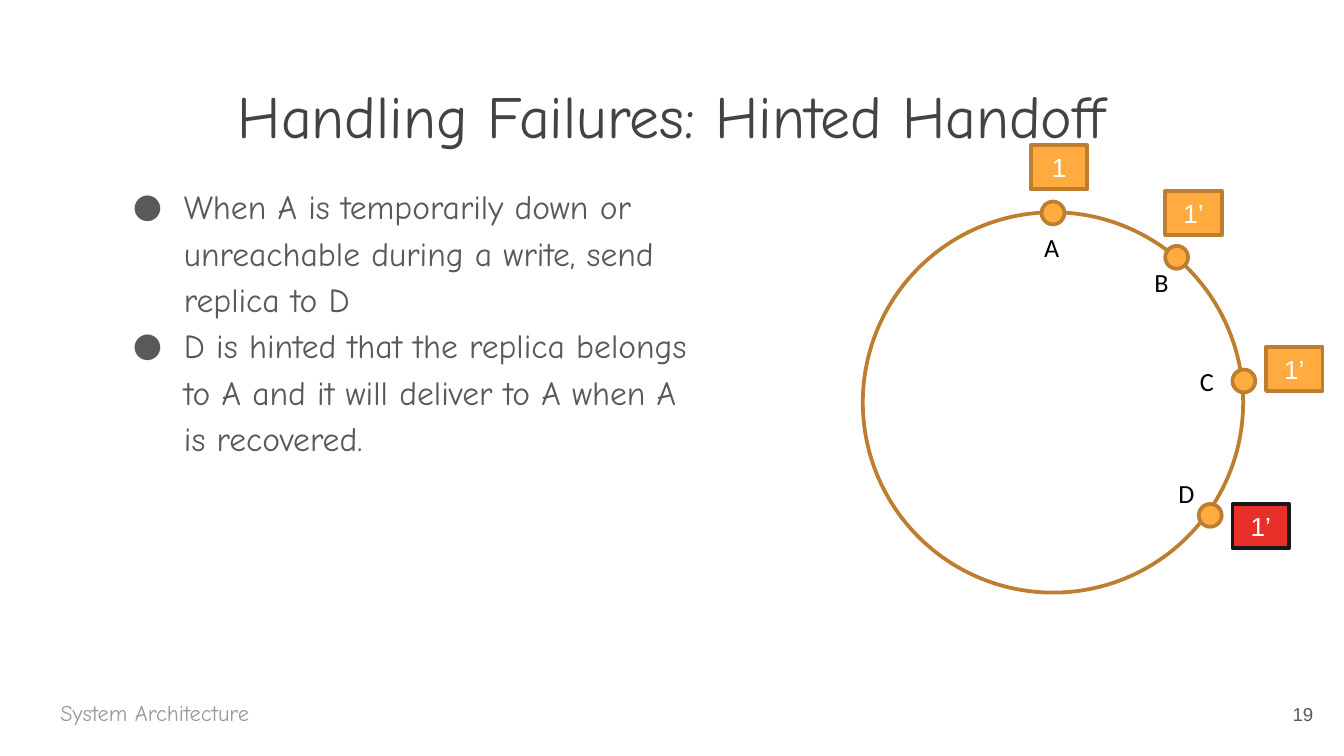
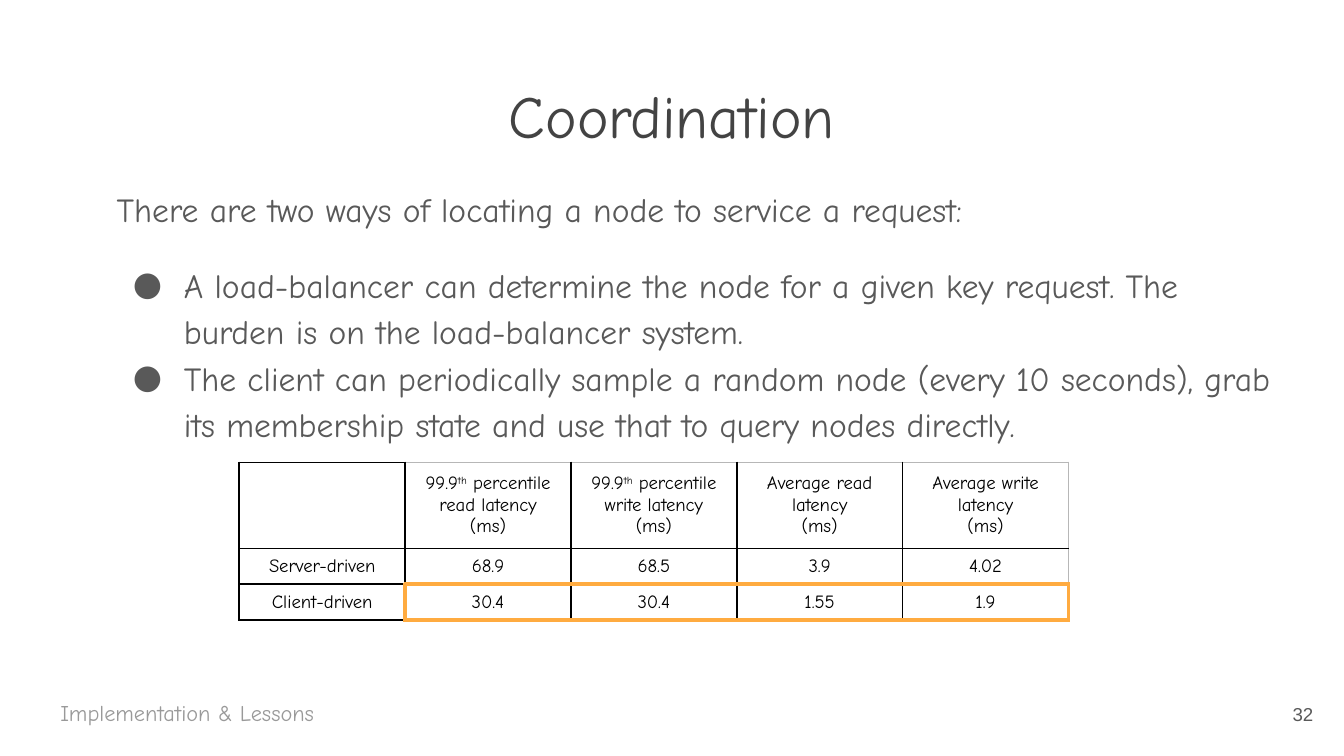
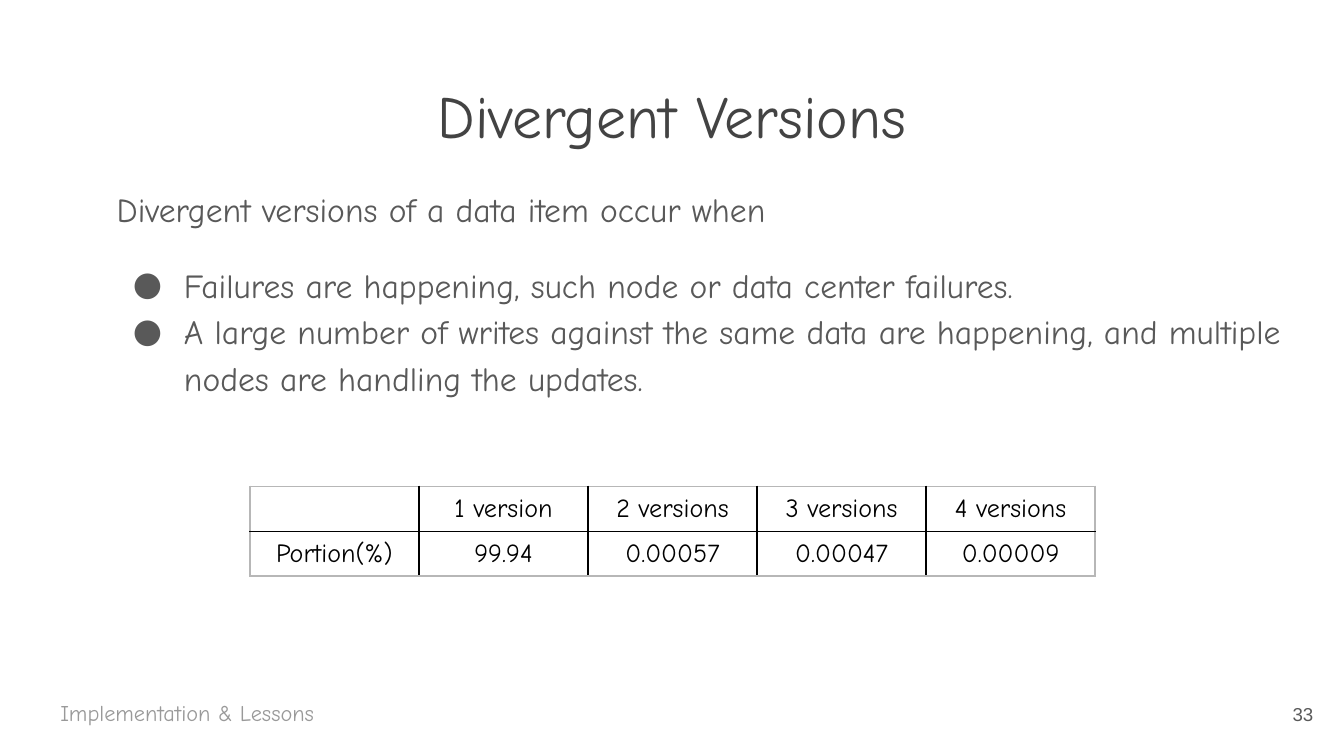
from dataclasses import dataclass

from lxml import etree
from pptx import Presentation
from pptx import util as u
from pptx.dml.color import RGBColor
from pptx.enum import shapes, text
from pptx.oxml import ns

Align, Anchor = text.PP_ALIGN, text.MSO_ANCHOR
Shape = shapes.MSO_SHAPE


@dataclass(frozen=True)
class Theme:
    face: str = "Comic Neue"
    plain_face: str = "Arial"
    label_face: str = "Calibri"
    heading: str = "434343"
    body: str = "595959"
    footer: str = "999999"
    black: str = "000000"
    white: str = "FFFFFF"
    frame: str = "B7B7B7"
    accent: str = "FFAB40"
    accent_line: str = "BD7F2F"
    alert: str = "E83029"
    alert_line: str = "181818"
    title_size: int = 32
    body_size: int = 18
    label_size: int = 14
    footer_size: int = 12
    number_size: int = 10
    outline: float = 2
    rule: float = 1
    strong_rule: float = 2.25


THEME = Theme()


def add_xml(parent, tag, **attributes):
    return etree.SubElement(parent, ns.qn(tag), attributes)


def add_bullet(para, color, face):
    props = para._p.get_or_add_pPr()
    props.set("marL", str(u.Inches(0.5)))
    props.set("indent", str(u.Inches(-0.38)))
    add_xml(add_xml(props, "a:buClr"), "a:srgbClr", val=color)
    add_xml(props, "a:buFont", typeface=face)
    add_xml(props, "a:buChar", char="●")


def write(para, words, size=THEME.body_size, color=THEME.body, face=THEME.face,
          align=Align.LEFT, bullet=False, spacing=None, before=None):
    """Fill a paragraph; a part between two ^ marks is superscript."""
    if bullet:
        add_bullet(para, color, face)
    para.alignment = align
    if spacing:
        para.line_spacing = spacing
    if before:
        para.space_before = u.Pt(before)
    if not words:
        add_xml(para._p, "a:endParaRPr", sz=str(size * 100))
        return
    for index, part in enumerate(words.split("^")):
        span = para.add_run()
        span.text = part
        span.font.size = u.Pt(size)
        span.font.name = face
        span.font.color.rgb = RGBColor.from_string(color)
        if index % 2:
            span._r.get_or_add_rPr().set("baseline", "30000")


def add_box(page, left, top, width, height, anchor=Anchor.TOP, inset=0.1):
    """Add an empty wrapping text box and return its frame."""
    box = page.shapes.add_textbox(*map(u.Inches, (left, top, width, height)))
    frame = box.text_frame
    frame.word_wrap = True
    frame.vertical_anchor = anchor
    frame.margin_top = frame.margin_bottom = u.Inches(inset)
    return frame


def add_outlined(page, kind, left, top, width, height,
                 fill=None, line=THEME.accent_line):
    shape = page.shapes.add_shape(kind, *map(u.Inches, (left, top, width, height)))
    shape.shadow.inherit = False
    if fill:
        shape.fill.solid()
        shape.fill.fore_color.rgb = RGBColor.from_string(fill)
    else:
        shape.fill.background()
    shape.line.color.rgb = RGBColor.from_string(line)
    shape.line.width = u.Pt(THEME.outline)
    return shape


def add_page(deck, title, section, number):
    """Add a blank page with its title, section footer and page number."""
    page = deck.slides.add_slide(deck.slide_layouts[6])
    write(add_box(page, 0.34, 0.49, 9.32, 0.63).paragraphs[0], title,
          size=THEME.title_size, color=THEME.heading, align=Align.CENTER)
    write(add_box(page, 0.35, 5.1, 9.32, 0.36).paragraphs[0], section,
          size=THEME.footer_size, color=THEME.footer)
    write(add_box(page, 9.27, 5.1, 0.6, 0.43, Anchor.MIDDLE).paragraphs[0],
          str(number), size=THEME.number_size, face=THEME.plain_face,
          align=Align.RIGHT)
    return page


def add_body(page, bullets, intro=None, top=1.26, width=8.89):
    frame = add_box(page, 0.77, top, width, 3.74)
    para = frame.paragraphs[0]
    if intro:
        write(para, intro, spacing=1.15)
        para = frame.add_paragraph()
    for index, words in enumerate(bullets):
        if index:
            para = frame.add_paragraph()
        write(para, words, bullet=True, spacing=1.15,
              before=16 if intro and index == 0 else None)


def add_tag(page, left, top, words, **colors):
    tag = add_outlined(page, Shape.RECTANGLE, left, top, 0.42, 0.33, **colors)
    tag.text_frame.vertical_anchor = Anchor.MIDDLE
    write(tag.text_frame.paragraphs[0], words, size=THEME.label_size,
          color=THEME.white, face=THEME.plain_face, align=Align.CENTER)


def add_hash_ring(page, left, top):
    """Draw the ring; node, label and tag offsets count from its corner."""
    normal = dict(fill=THEME.accent, line=THEME.accent_line)
    hinted = dict(fill=THEME.alert, line=THEME.alert_line)
    nodes = [
        ("A", (1.33, -0.08), (1.25, 0.09), "1", (1.25, -0.5), normal),
        ("B", (2.25, 0.25), (2.07, 0.35), "1’", (2.25, -0.16), normal),
        ("C", (2.75, 1.17), (2.41, 1.09), "1’", (3, 1), normal),
        ("D", (2.5, 2.17), (2.25, 1.92), "1’", (2.75, 2.17), hinted),
    ]
    add_outlined(page, Shape.OVAL, left, top, 2.83, 2.83)
    for name, node, label, replica, tag, colors in nodes:
        add_outlined(page, Shape.OVAL, left + node[0], top + node[1],
                     0.17, 0.17, fill=THEME.accent)
        add_tag(page, left + tag[0], top + tag[1], replica, **colors)
        frame = add_box(page, left + label[0], top + label[1], 0.35, 0.34, inset=0.05)
        write(frame.paragraphs[0], name, size=THEME.label_size,
              color=THEME.black, face=THEME.label_face)


def set_border(cell, side, color, width):
    line = add_xml(cell._tc.get_or_add_tcPr(), f"a:ln{side}", w=str(u.Pt(width)))
    add_xml(add_xml(line, "a:solidFill"), "a:srgbClr", val=color)


def border_style(row, column, side, last_row, last_column, framed_row, dark_column):
    """Accent around the framed row, grey at the table edge, black elsewhere."""
    framed = row == framed_row and column > 0 and (
        side in "TB" or (side == "L" and column == 1)
        or (side == "R" and column == last_column))
    beside = (row == framed_row and column == 0 and side == "R") or (
        framed_row is not None and row == framed_row - 1
        and column > 0 and side == "B")
    if framed or beside:
        return THEME.accent, THEME.strong_rule
    outer = {"L": column == 0, "R": column == last_column,
             "T": row == 0, "B": row == last_row}[side]
    if outer and not (dark_column and column == 0):
        return THEME.frame, THEME.rule
    return THEME.black, THEME.rule


def add_grid(page, left, top, width, heights, rows, size,
             framed_row=None, dark_column=False):
    count = len(rows[0])
    table = page.shapes.add_table(
        len(rows), count, u.Inches(left), u.Inches(top),
        u.Inches(width), u.Inches(sum(heights))).table
    table.first_row = table.horz_banding = False
    for r, (height, values) in enumerate(zip(heights, rows)):
        table.rows[r].height = u.Inches(height)
        for c, value in enumerate(values):
            cell = table.cell(r, c)
            cell.vertical_anchor = Anchor.MIDDLE
            for side in "LRTB":
                set_border(cell, side, *border_style(
                    r, c, side, len(rows) - 1, count - 1, framed_row, dark_column))
            cell.fill.background()
            for index, words in enumerate(value.split("\n")):
                frame = cell.text_frame
                para = frame.add_paragraph() if index else frame.paragraphs[0]
                write(para, words, size=size, color=THEME.black, align=Align.CENTER)


def build_handoff(deck):
    page = add_page(deck, "Handling Failures: Hinted Handoff",
                    "System Architecture", 19)
    add_body(page, [
        "When A is temporarily down or unreachable during a write, send replica to D",
        "D is hinted that the replica belongs to A and it will deliver to A "
        "when A is recovered.",
    ], top=1.24, width=4.6)
    add_hash_ring(page, 6.42, 1.58)


def build_coordination(deck):
    page = add_page(deck, "Coordination", "Implementation & Lessons", 32)
    add_body(page, [
        "A load-balancer can determine the node for a given key request. "
        "The burden is on the load-balancer system.",
        "The client can periodically sample a random node (every 10 seconds), "
        "grab its membership state and use that to query nodes directly.",
    ], intro="There are two ways of locating a node to service a request:")
    measures = ["99.9^th^ percentile read", "99.9^th^ percentile write",
                "Average read", "Average write"]
    add_grid(page, 1.78, 3.44, 6.17, [0.64, 0.26, 0.26], [
        [""] + [f"{measure} latency\n(ms)" for measure in measures],
        ["Server-driven", "68.9", "68.5", "3.9", "4.02"],
        ["Client-driven", "30.4", "30.4", "1.55", "1.9"],
    ], size=10, framed_row=2, dark_column=True)


def build_versions(deck):
    page = add_page(deck, "Divergent Versions", "Implementation & Lessons", 33)
    add_body(page, [
        "Failures are happening, such node or data center failures.",
        "A large number of writes against the same data are happening, "
        "and multiple nodes are handling the updates.",
    ], intro="Divergent versions of a data item occur when")
    add_grid(page, 1.86, 3.62, 6.29, [0.33, 0.33], [
        ["", "1 version", "2 versions", "3 versions", "4 versions"],
        ["Portion(%)", "99.94", "0.00057", "0.00047", "0.00009"],
    ], size=14)


def main():
    deck = Presentation()
    deck.slide_width = u.Inches(10)
    deck.slide_height = deck.slide_width * 9 // 16
    for build in (build_handoff, build_coordination, build_versions):
        build(deck)
    deck.save("out.pptx")


if __name__ == "__main__":
    main()
